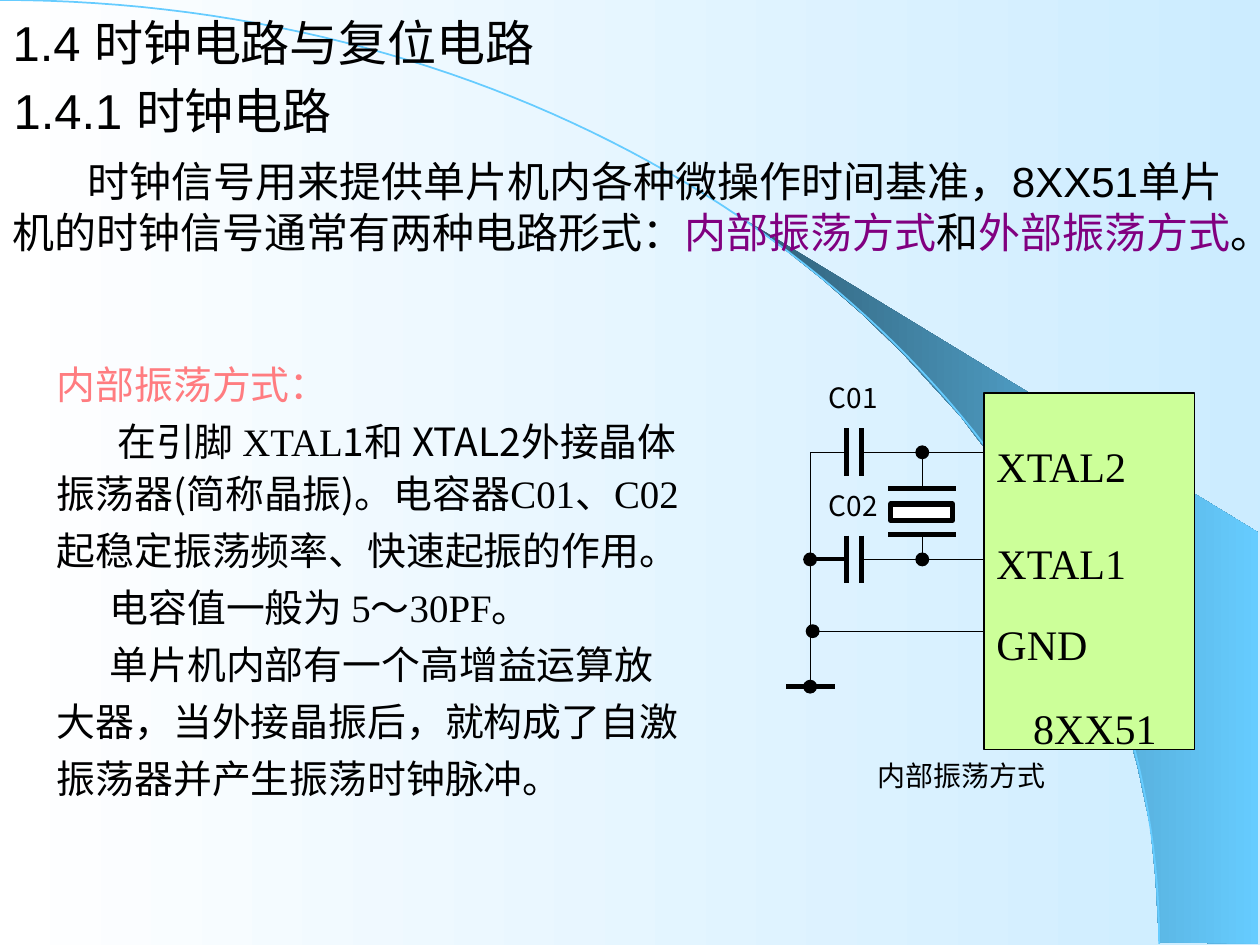
from lxml.etree import SubElement
from pptx import Presentation
from pptx.dml.color import RGBColor
from pptx.enum.shapes import MSO_CONNECTOR, MSO_SHAPE
from pptx.enum.text import MSO_ANCHOR, MSO_AUTO_SIZE, PP_ALIGN
from pptx.oxml.ns import qn
from pptx.util import Inches, Pt

BLACK = RGBColor(0x00, 0x00, 0x00)
WHITE = RGBColor(0xFF, 0xFF, 0xFF)
PALE_BLUE = RGBColor(0xCC, 0xEC, 0xFF)
SKY_BLUE = RGBColor(0x66, 0xCC, 0xFF)
DEEP_BLUE = RGBColor(0x2F, 0x5E, 0x76)
CHIP_GREEN = RGBColor(0xCC, 0xFF, 0x99)
PURPLE = RGBColor(0x80, 0x00, 0x80)
SALMON = RGBColor(0xFF, 0x7C, 0x80)

SANS = "Arial"
SERIF = "Times New Roman"
CJK = "Noto Sans CJK SC"

THIN, MEDIUM, THICK = 0.75, 2.25, 3

SWOOSH = [
    (9.2, 7.48), (9.99, 7.49), (9.99, 4.23), (5.89, 1.73), (6.24, 1.99),
    (6.53, 2.22), (6.85, 2.5), (7.16, 2.8), (7.62, 3.3), (8.03, 3.84),
    (8.32, 4.31), (8.58, 4.79), (8.78, 5.28), (8.93, 5.72), (9.03, 6.09),
    (9.13, 6.56), (9.17, 6.96),
]
ARC_CONTROLS = [(0, 0), (5.08, 0), (9.2, 3.35), (9.2, 7.49)]

# First-line indent in inches, line height in points, runs of (text, font, colour)
BODY = [
    (0, 26.6, [("内部振荡方式：", CJK, SALMON)]),
    (0.48, 26.6, [("在引脚 XTAL", SERIF, BLACK), ("1和 XTAL2外接晶体", CJK, BLACK)]),
    (0, 24, [("振荡器(简称晶振)。", CJK, BLACK), ("电容器C01、C02", SERIF, BLACK)]),
    (0, 26.6, [("起稳定振荡频率、快速起振的作用。", SERIF, BLACK)]),
    (0.42, 26.6, [("电容值一般为 5～30PF。", SERIF, BLACK)]),
    (0.42, 26.6, [("单片机内部有一个高增益运算放", SERIF, BLACK)]),
    (0, 26.6, [("大器，当外接晶振后，就构成了自激", SERIF, BLACK)]),
    (0, 26.6, [("振荡器并产生振荡时钟脉冲。", SERIF, BLACK)]),
]
INTRO = [
    ("时钟信号用来提供单片机内各种微操作时间基准，"
     "8XX51单片机的时钟信号通常有两种电路形式：", SANS, BLACK),
    ("内部振荡方式", SANS, PURPLE),
    ("和", SANS, BLACK),
    ("外部振荡方式", SANS, PURPLE),
    ("。", SANS, BLACK),
]

GROUND_X, CRYSTAL_X = 6.43, 7.32
PLATE_XS = (6.72, 6.84)
CHIP_LEFT = 7.81
XTAL2_Y, XTAL1_Y, GND_Y, GROUND_Y = 3.59, 4.44, 5.01, 5.45


def add_runs(paragraph, runs, size):
    for text, font_name, colour in runs:
        run = paragraph.add_run()
        run.text = text
        run.font.size = Pt(size)
        run.font.bold = False
        run.font.name = font_name
        run.font.color.rgb = colour
        SubElement(run.font._element, qn("a:ea"), typeface=CJK)


def indent_first_line(paragraph, indent):
    properties = paragraph._p.get_or_add_pPr()
    properties.set("marL", "0")
    properties.set("indent", str(Inches(indent)))
    SubElement(properties, qn("a:buNone"))


def place(shape, left, top, width, height):
    shape.left, shape.top = Inches(left), Inches(top)
    shape.width, shape.height = Inches(width), Inches(height)


def fill_gradient(fill, start, end):
    fill.gradient()
    fill.gradient_angle = 0
    for stop, colour, position in zip(fill.gradient_stops, (start, end), (0, 1)):
        stop.color.rgb = colour
        stop.position = position


def add_outline(slide, points, close):
    builder = slide.shapes.build_freeform(
        Inches(points[0][0]), Inches(points[0][1]))
    builder.add_line_segments(
        [(Inches(x), Inches(y)) for x, y in points[1:]], close=close)
    outline = builder.convert_to_shape()
    outline.shadow.inherit = False
    return outline


def bezier_points(controls, steps=80):
    """Sample a cubic Bezier curve at equal parameter steps."""
    points = []
    for step in range(steps + 1):
        t = step / steps
        weights = ((1 - t) ** 3, 3 * t * (1 - t) ** 2, 3 * t * t * (1 - t), t ** 3)
        points.append(tuple(
            sum(w * c[axis] for w, c in zip(weights, controls)) for axis in (0, 1)))
    return points


def add_backdrop(slide):
    fill_gradient(slide.background.fill, WHITE, PALE_BLUE)
    swoosh = add_outline(slide, SWOOSH, close=True)
    fill_gradient(swoosh.fill, DEEP_BLUE, SKY_BLUE)
    swoosh.line.fill.background()
    arc = add_outline(slide, bezier_points(ARC_CONTROLS), close=False)
    arc.fill.background()
    arc.line.color.rgb = SKY_BLUE
    arc.line.width = Pt(1)


def fill_title(title):
    place(title, 0, 0, 4.76, 0.67)
    frame = title.text_frame
    frame.auto_size = MSO_AUTO_SIZE.NONE
    frame.vertical_anchor = MSO_ANCHOR.MIDDLE
    frame.paragraphs[0].alignment = PP_ALIGN.LEFT
    add_runs(frame.paragraphs[0],
             [("1.4 ", SANS, BLACK), ("时钟电路与复位电路", CJK, BLACK)], 28)


def fill_body(body):
    place(body, 0.35, 2.81, 5.67, 4.09)
    frame = body.text_frame
    frame.auto_size = MSO_AUTO_SIZE.NONE
    for index, (indent, line_height, runs) in enumerate(BODY):
        paragraph = frame.add_paragraph() if index else frame.paragraphs[0]
        indent_first_line(paragraph, indent)
        paragraph.line_spacing = Pt(line_height)
        paragraph.space_before = Pt(6 if index else 0)
        add_runs(paragraph, runs, 22.2)


def add_text(slide, left, top, width, height, runs, size,
             wrap=False, anchor=MSO_ANCHOR.TOP):
    box = slide.shapes.add_textbox(
        Inches(left), Inches(top), Inches(width), Inches(height))
    box.text_frame.word_wrap = wrap
    box.text_frame.vertical_anchor = anchor
    paragraph = box.text_frame.paragraphs[0]
    add_runs(paragraph, runs, size)
    return paragraph


def add_wire(slide, x1, y1, x2, y2, weight=THIN):
    wire = slide.shapes.add_connector(
        MSO_CONNECTOR.STRAIGHT, Inches(x1), Inches(y1), Inches(x2), Inches(y2))
    wire.line.color.rgb = BLACK
    wire.line.width = Pt(weight)
    SubElement(wire._element.spPr, qn("a:effectLst"))


def add_part(slide, kind, left, top, width, height, colour, weight=THIN):
    part = slide.shapes.add_shape(
        kind, Inches(left), Inches(top), Inches(width), Inches(height))
    part.shadow.inherit = False
    part.fill.solid()
    part.fill.fore_color.rgb = colour
    part.line.color.rgb = BLACK
    part.line.width = Pt(weight)


def add_circuit(slide):
    add_part(slide, MSO_SHAPE.RECTANGLE, CHIP_LEFT, 3.12, 1.67, 2.83, CHIP_GREEN)
    for pin, left, top in (("XTAL2", CHIP_LEFT, 3.45), ("XTAL1", CHIP_LEFT, 4.22),
                           ("GND", CHIP_LEFT, 4.86), ("8XX51", 8.1, 5.53)):
        add_text(slide, left, top, 1.38, 0.5, [(pin, SERIF, BLACK)], 24)

    for y, lead_weight in ((XTAL2_Y, THIN), (XTAL1_Y, MEDIUM)):
        add_wire(slide, GROUND_X, y, PLATE_XS[0], y, lead_weight)
        add_wire(slide, PLATE_XS[1], y, CHIP_LEFT, y)
        for x in PLATE_XS:
            add_wire(slide, x, y - 0.19, x, y + 0.19, THICK)

    add_part(slide, MSO_SHAPE.RECTANGLE, 7.07, 4, 0.49, 0.13, WHITE, THICK)
    for pin_y, plate_y in ((XTAL2_Y, 3.88), (XTAL1_Y, 4.24)):
        add_wire(slide, CRYSTAL_X, pin_y, CRYSTAL_X, plate_y)
        add_wire(slide, CRYSTAL_X - 0.27, plate_y, CRYSTAL_X + 0.27, plate_y, THICK)

    add_wire(slide, GROUND_X, XTAL2_Y, GROUND_X, GROUND_Y)
    add_wire(slide, GROUND_X, GND_Y, CHIP_LEFT, GND_Y)
    add_wire(slide, 6.24, GROUND_Y, 6.63, GROUND_Y, THICK)
    for x, y in ((CRYSTAL_X, XTAL2_Y), (CRYSTAL_X, XTAL1_Y), (GROUND_X, XTAL1_Y),
                 (6.45, GND_Y), (GROUND_X, GROUND_Y)):
        add_part(slide, MSO_SHAPE.FLOWCHART_CONNECTOR,
                 x - 0.05, y - 0.05, 0.1, 0.1, BLACK)

    for label, left, top, width in (("C01", 6.48, 2.97, 0.86), ("C02", 6.48, 3.83, 0.94),
                                    ("内部振荡方式", 6.87, 5.97, 2.44)):
        add_text(slide, left, top, width, 0.42, [(label, CJK, BLACK)], 16)


def main():
    deck = Presentation()
    deck.slide_width, deck.slide_height = Inches(10), Inches(7.5)
    slide = deck.slides.add_slide(deck.slide_layouts[1])
    title, body = slide.placeholders
    add_backdrop(slide)
    fill_title(title)
    fill_body(body)
    for placeholder in (title, body):  # bring the text in front of the backdrop
        slide.shapes._spTree.append(placeholder._element)
    add_circuit(slide)
    intro = add_text(slide, 0, 1.16, 10, 0.95, INTRO, 24,
                     wrap=True, anchor=MSO_ANCHOR.MIDDLE)
    indent_first_line(intro, 0.6)
    intro.line_spacing = Pt(28.9)
    add_text(slide, 0.01, 0.54, 4.76, 0.67,
             [("1.4.1 ", SANS, BLACK), ("时钟电路", CJK, BLACK)], 28,
             wrap=True, anchor=MSO_ANCHOR.MIDDLE)
    deck.save("out.pptx")


if __name__ == "__main__":
    main()
